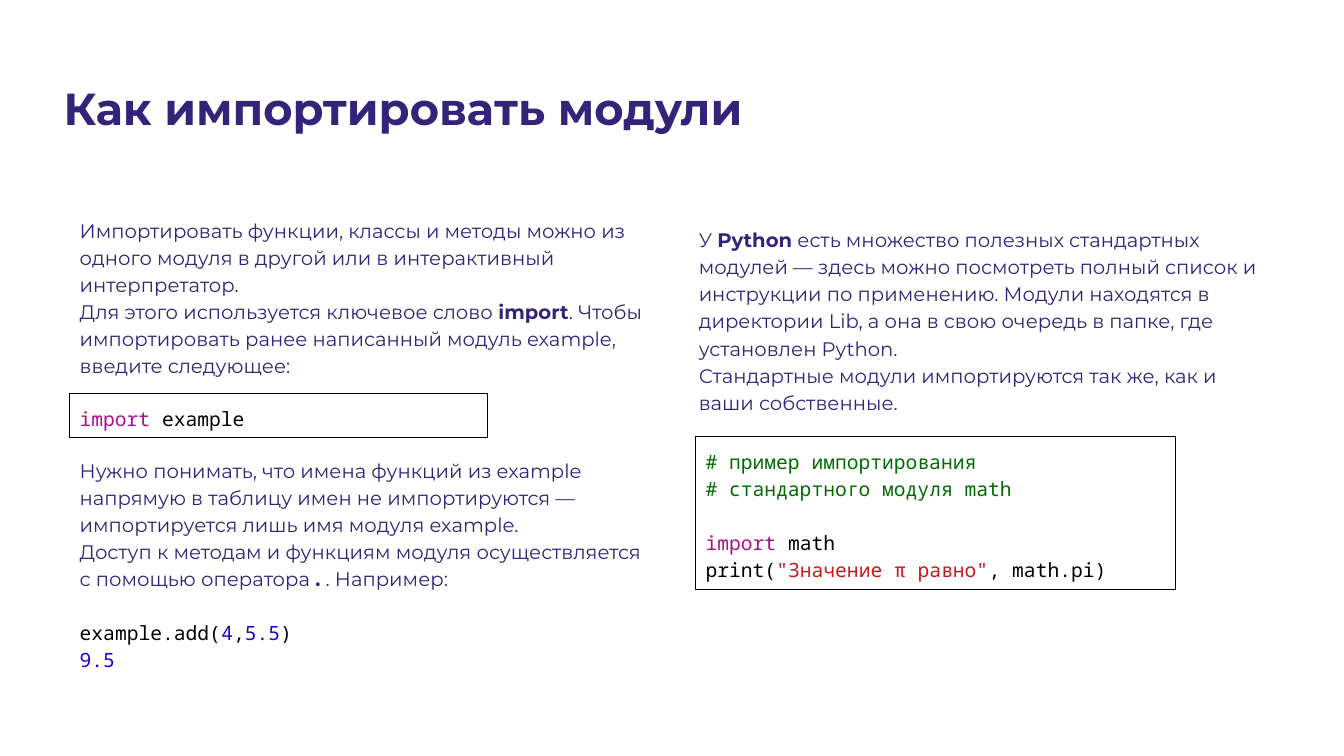
from pptx import Presentation
from pptx.dml.color import RGBColor
from pptx.enum.shapes import MSO_SHAPE as Shape
from pptx.enum.text import MSO_ANCHOR as Anchor, MSO_AUTO_SIZE as Fit, PP_ALIGN as Align
from pptx.oxml.ns import qn
from pptx.util import Inches, Pt

INK, BLACK, KEY, NUM, NOTE, TEXT = "352379", "000000", "AA0D91", "1C00CF", "006A00", "C41A16"
SANS, MONO = "Montserrat", "Noto Sans Mono"
GAP = 19.3  # one line of text, in points


def paint(hue):
    return RGBColor.from_string(hue)


class Page:
    def __init__(self, deck):
        self.deck = deck
        self.slide = deck.slides.add_slide(deck.slide_layouts[4])
        self.slots = {s.placeholder_format.idx: s for s in self.slide.placeholders}

    def place(self, shape, area):
        """Put a shape at left, top, width, height, in percent of the slide."""
        wide, high = self.deck.slide_width, self.deck.slide_height
        shape.left, shape.top, shape.width, shape.height = (
            round(part * side / 100) for part, side in zip(area, (wide, high, wide, high)))

    def label(self, shape, lines, size=14, inset=0.05):
        """Fill a shape with lines made by prose() and code()."""
        frame = shape.text_frame
        frame.word_wrap, frame.auto_size = True, Fit.NONE
        frame.vertical_anchor = Anchor.TOP
        frame.margin_left = frame.margin_right = Inches(0.1)
        frame.margin_top = frame.margin_bottom = Inches(inset)
        for i, (face, bold, gap, parts) in enumerate(lines):
            para = frame.add_paragraph() if i else frame.paragraphs[0]
            para.alignment, para.line_spacing = Align.LEFT, 1.15
            para.space_before, para.space_after = Pt(gap), Pt(0)
            para.font.name, para.font.size, para.font.bold = face, Pt(size), bold
            props = para._p.get_or_add_pPr()
            props.set("marL", "0")
            props.set("indent", "0")
            props.insert_element_before(props.makeelement(qn("a:buNone"), {}), "a:defRPr")
            for words, hue, strong in parts:
                run = para.add_run()
                run.text = words
                run.font.color.rgb = paint(hue)
                if strong:
                    run.font.bold = True

    def fill(self, idx, area, lines, size=14):
        """Move a placeholder and fill it."""
        slot = self.slots.pop(idx)
        self.place(slot, area)
        self.label(slot, lines, size)

    def box(self, area, lines):
        """Add a framed block of code."""
        shape = self.slide.shapes.add_shape(Shape.RECTANGLE, 0, 0, 0, 0)
        self.place(shape, area)
        shape.shadow.inherit = False
        shape.fill.background()
        shape.line.color.rgb = paint(BLACK)
        shape.line.width = Pt(0.75)
        self.label(shape, lines, inset=0.1)

    def clean(self):
        """Remove the placeholders that were not filled."""
        for slot in self.slots.values():
            slot.element.getparent().remove(slot.element)


def prose(*words, bold=False):
    """Make a line of plain text where every second part is bold."""
    return SANS, bold, 0, [(word, INK, i % 2 == 1) for i, word in enumerate(words)]


def code(*parts, gap=0):
    """Make a line of code from (words, colour) pairs."""
    return MONO, False, gap, [(words, hue, False) for words, hue in parts]


def main():
    deck = Presentation()
    deck.slide_width, deck.slide_height = Inches(13.33), Inches(7.5)
    page = Page(deck)
    left, right, wide = 5.18, 51.24, 43.59

    page.fill(0, (3.98, 8.93, 90.32, 7.2), [prose("Как импортировать модули", bold=True)], 32)
    page.fill(1, (left, 27.87, wide, 24.13), [
        prose("Импортировать функции, классы и методы можно из одного модуля в другой "
              "или в интерактивный интерпретатор."),
        prose("Для этого используется ключевое слово ", "import",
              ". Чтобы импортировать ранее написанный модуль example, введите следующее:"),
    ])
    page.box((left, 52, 31.13, 5.87), [code(("import", KEY), (" example", BLACK))])
    page.fill(2, (left, 59.6, wide, 19.73), [
        prose("Нужно понимать, что имена функций из example напрямую в таблицу имен "
              "не импортируются — импортируется лишь имя модуля example."),
        prose("Доступ к методам и функциям модуля осуществляется с помощью оператора ",
              ".", " . Например:"),
        code(("example.add(", BLACK), ("4", NUM), (",", BLACK), ("5.5", NUM), (")", BLACK), gap=GAP),
        code(("9.5", NUM)),
    ])
    page.fill(3, (right, 29.07, wide, 24.13), [
        prose("У ", "Python", " есть множество полезных стандартных модулей — здесь можно "
              "посмотреть полный список и инструкции по применению. Модули находятся "
              "в директории Lib, а она в свою очередь в папке, где установлен Python."),
        prose("Стандартные модули импортируются так же, как и ваши собственные."),
    ])
    page.box((51.76, 57.73, 35.71, 20.27), [
        code(("# пример импортирования", NOTE)),
        code(("# стандартного модуля math", NOTE)),
        code(("import", KEY), (" math", BLACK), gap=GAP),
        code(("print(", BLACK), ('"Значение π равно"', TEXT), (", math.pi)", BLACK)),
    ])
    page.clean()
    deck.save("out.pptx")


if __name__ == "__main__":
    main()
